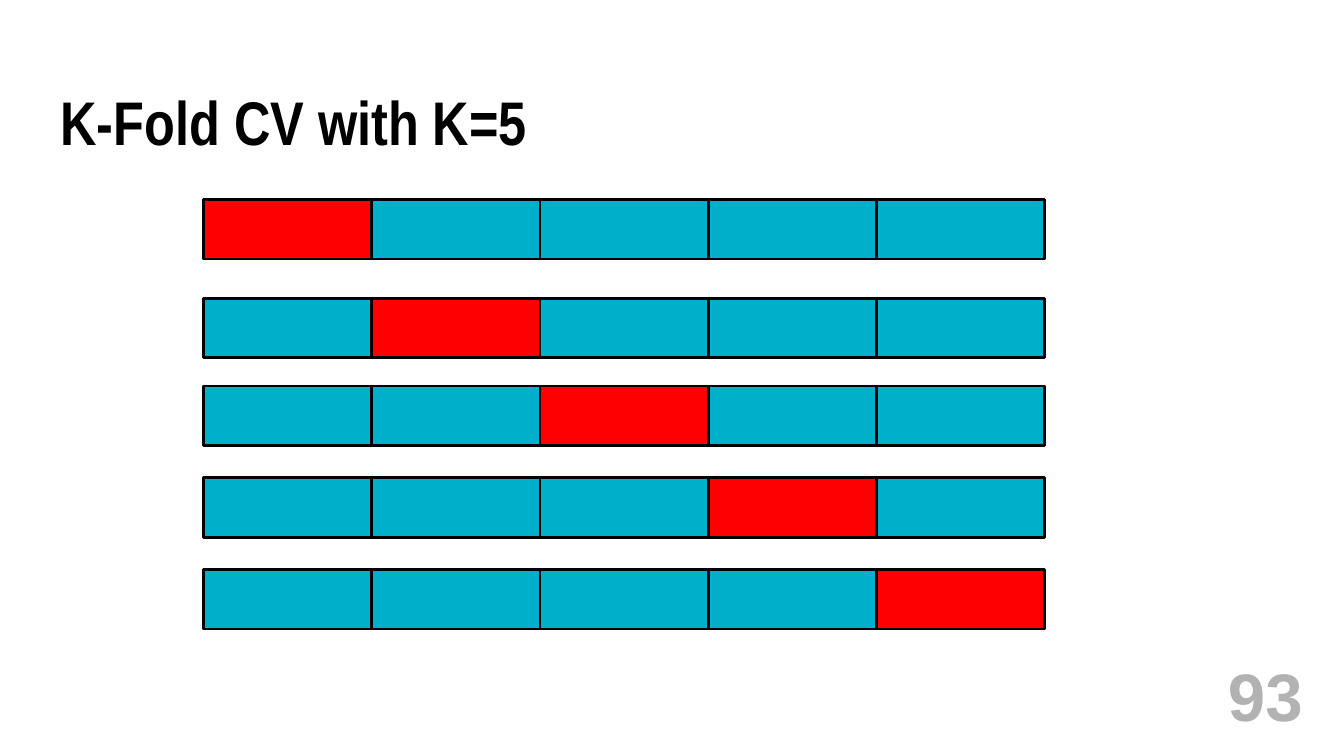
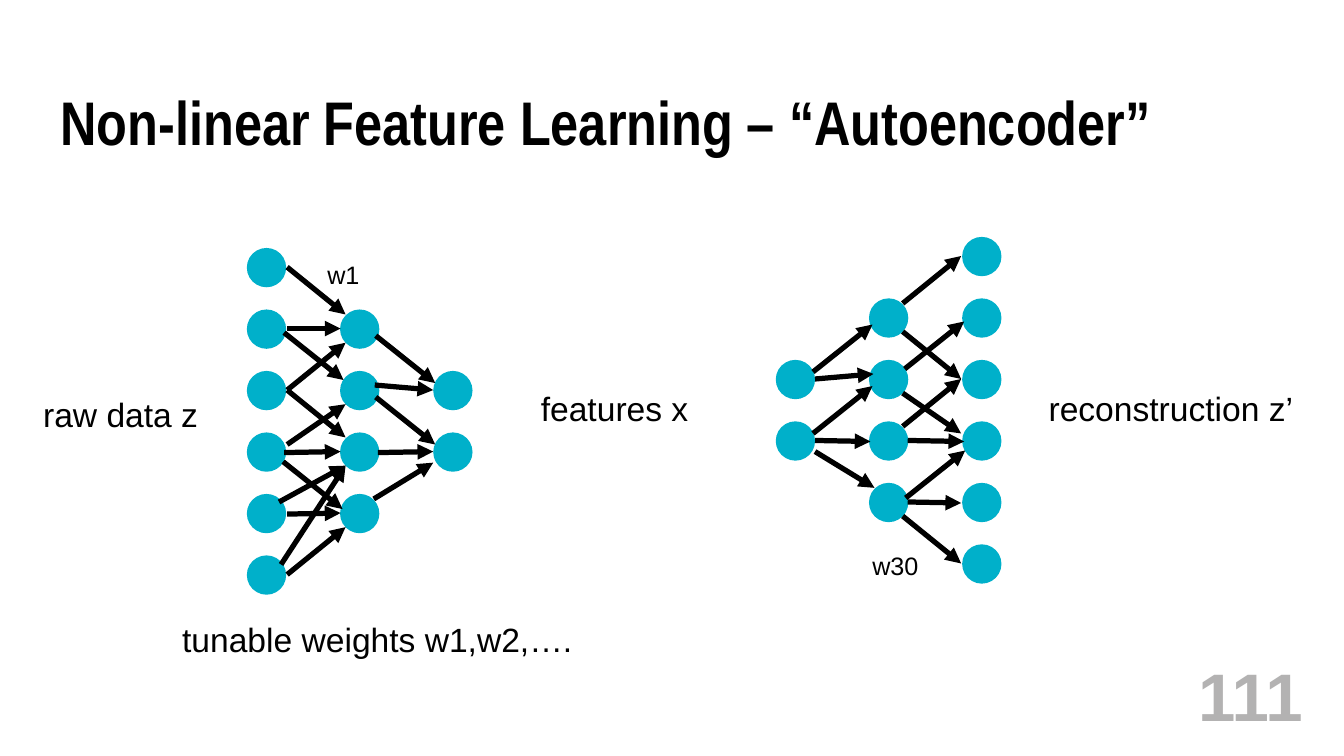
from pptx import Presentation
from pptx.dml.color import RGBColor
from pptx.enum import shapes, text
from pptx.oxml import parse_xml
from pptx.oxml.ns import nsdecls, qn
from pptx.util import Inches, Pt

BLACK, TEAL, RED, GRAY = "000000", "00B0CA", "FF0000", "B3B2B2"
BODY_FONT, TITLE_FONT = "Arial", "Arial Narrow"

FOLDS = 5
FOLD_LEFT, FOLD_WIDTH, FOLD_HEIGHT = 2.02, 1.67, 0.59
FOLD_TOPS = [1.98, 2.96, 3.83, 4.74, 5.65]

NODE_SIZE = 0.39
NODE_LEFT, NODE_TOP = 2.45, 2.46
COLUMN_PITCH, ROW_PITCH = 0.925, 0.61
LAYERS, INPUTS = 3, 6
# The decoder is the encoder mirrored left to right and raised a little.
MIRROR_SUM, DECODER_RISE = 12.39, 0.11

# Weights that occur in both halves: start x, start y, end x, end y
SHARED_WEIGHTS = [
    (2.85, 2.65, 3.43, 3.12),
    (2.82, 3.30, 3.41, 3.77),
    (2.85, 3.87, 3.43, 4.34),
    (2.81, 4.58, 3.40, 5.05),
    (2.85, 5.10, 3.38, 5.09),
    (2.85, 5.70, 3.43, 5.23),
    (2.85, 4.41, 3.43, 4.01),
    (2.85, 3.87, 3.43, 3.40),
    (3.73, 3.33, 4.32, 3.80),
    (3.73, 3.94, 4.32, 4.41),
    (3.71, 4.95, 4.30, 4.59),
    (3.75, 4.49, 4.30, 4.48),
    (2.82, 4.49, 3.38, 4.48),
    (3.72, 3.82, 4.30, 3.87),
]
ENCODER_WEIGHTS = [
    (2.85, 3.26, 3.38, 3.26),
    (2.77, 4.98, 3.43, 4.62),
    (2.79, 5.60, 3.43, 4.62),
]
# Text, left, top, width, height, size
LABELS = [
    ("raw data z", 0.33, 3.86, 1.76, 0.5, 24),
    ("features x", 5.27, 3.8, 1.68, 0.5, 24),
    ("reconstruction z’", 10.31, 3.8, 2.65, 0.5, 24),
    ("w1", 3.15, 2.52, 0.52, 0.4, 18),
    ("w30", 8.56, 5.41, 0.66, 0.4, 18),
    ("tunable weights w1,w2,….", 1.71, 6.09, 4.11, 0.5, 24),
]


def color(value):
    return RGBColor.from_string(value)


class Deck:
    """The shared style and the slide being drawn."""

    def __init__(self):
        self.presentation = Presentation()
        self.presentation.slide_width = Inches(13.34)
        self.presentation.slide_height = Inches(7.5)
        self.slide = None

    def add_slide(self, title, number):
        self.slide = self.presentation.slides.add_slide(
            self.presentation.slide_layouts[6])
        paragraph = self.text(title, 0.6, 0.92, 12.13, 0.67, 44, inset=0,
                              font=TITLE_FONT, bold=True, wrap=True)
        paragraph.line_spacing = 0.9
        paragraph = self.text(number, 10.92, 6.58, 2.05, 0.63, 48, inset=0.04,
                              fill=GRAY, bold=True, wrap=True,
                              anchor=text.MSO_ANCHOR.MIDDLE)
        paragraph.alignment = text.PP_ALIGN.RIGHT

    def text(self, words, left, top, width, height, size, font=BODY_FONT,
             fill=BLACK, bold=False, wrap=False, inset=None,
             anchor=text.MSO_ANCHOR.TOP):
        """Add a one-paragraph text box and return its paragraph."""
        box = self.slide.shapes.add_textbox(
            Inches(left), Inches(top), Inches(width), Inches(height))
        frame = box.text_frame
        frame.word_wrap = wrap
        frame.vertical_anchor = anchor
        if inset is not None:
            frame.margin_left = frame.margin_right = Inches(inset)
            frame.margin_top = frame.margin_bottom = Inches(inset)
        paragraph = frame.paragraphs[0]
        paragraph.text = words
        paragraph.font.name = font
        paragraph.font.size = Pt(size)
        paragraph.font.bold = bold
        paragraph.font.color.rgb = color(fill)
        return paragraph

    def shape(self, kind, left, top, width, height, fill):
        shape = self.slide.shapes.add_shape(
            kind, Inches(left), Inches(top), Inches(width), Inches(height))
        shape.shadow.inherit = False
        shape.fill.solid()
        shape.fill.fore_color.rgb = color(fill)
        return shape

    def fold(self, left, top, fill):
        shape = self.shape(shapes.MSO_SHAPE.RECTANGLE, left, top,
                           FOLD_WIDTH, FOLD_HEIGHT, fill)
        shape.line.color.rgb = color(BLACK)
        shape.line.width = Pt(2)

    def node(self, left, top):
        shape = self.shape(shapes.MSO_SHAPE.OVAL, left, top,
                           NODE_SIZE, NODE_SIZE, TEAL)
        shape.line.fill.background()

    def arrow(self, start_x, start_y, end_x, end_y):
        connector = self.slide.shapes.add_connector(
            shapes.MSO_CONNECTOR.STRAIGHT, Inches(start_x), Inches(start_y),
            Inches(end_x), Inches(end_y))
        connector.line.color.rgb = color(BLACK)
        connector.line.width = Pt(3.75)
        properties = connector._element.spPr
        properties.find(qn("a:ln")).append(
            parse_xml(f'<a:tailEnd {nsdecls("a")} type="triangle"/>'))
        properties.append(parse_xml(f'<a:effectLst {nsdecls("a")}/>'))


def draw_cross_validation(deck):
    deck.add_slide("K-Fold CV with K=5", "93")
    for held_out, top in enumerate(FOLD_TOPS):
        for fold in range(FOLDS):
            deck.fold(FOLD_LEFT + fold * FOLD_WIDTH, top,
                      RED if fold == held_out else TEAL)


def draw_autoencoder(deck):
    deck.add_slide("Non-linear Feature Learning – “Autoencoder”", "111")
    for layer in range(LAYERS):
        left = NODE_LEFT + layer * COLUMN_PITCH
        for row in range(layer, INPUTS - layer):
            top = NODE_TOP + row * ROW_PITCH
            deck.node(left, top)
            deck.node(MIRROR_SUM - left - NODE_SIZE, top - DECODER_RISE)
    for start_x, start_y, end_x, end_y in SHARED_WEIGHTS:
        deck.arrow(start_x, start_y, end_x, end_y)
        deck.arrow(MIRROR_SUM - end_x, end_y - DECODER_RISE,
                   MIRROR_SUM - start_x, start_y - DECODER_RISE)
    for weight in ENCODER_WEIGHTS:
        deck.arrow(*weight)
    for label in LABELS:
        deck.text(*label)


def main():
    deck = Deck()
    draw_cross_validation(deck)
    draw_autoencoder(deck)
    deck.presentation.save("out.pptx")


if __name__ == "__main__":
    main()
